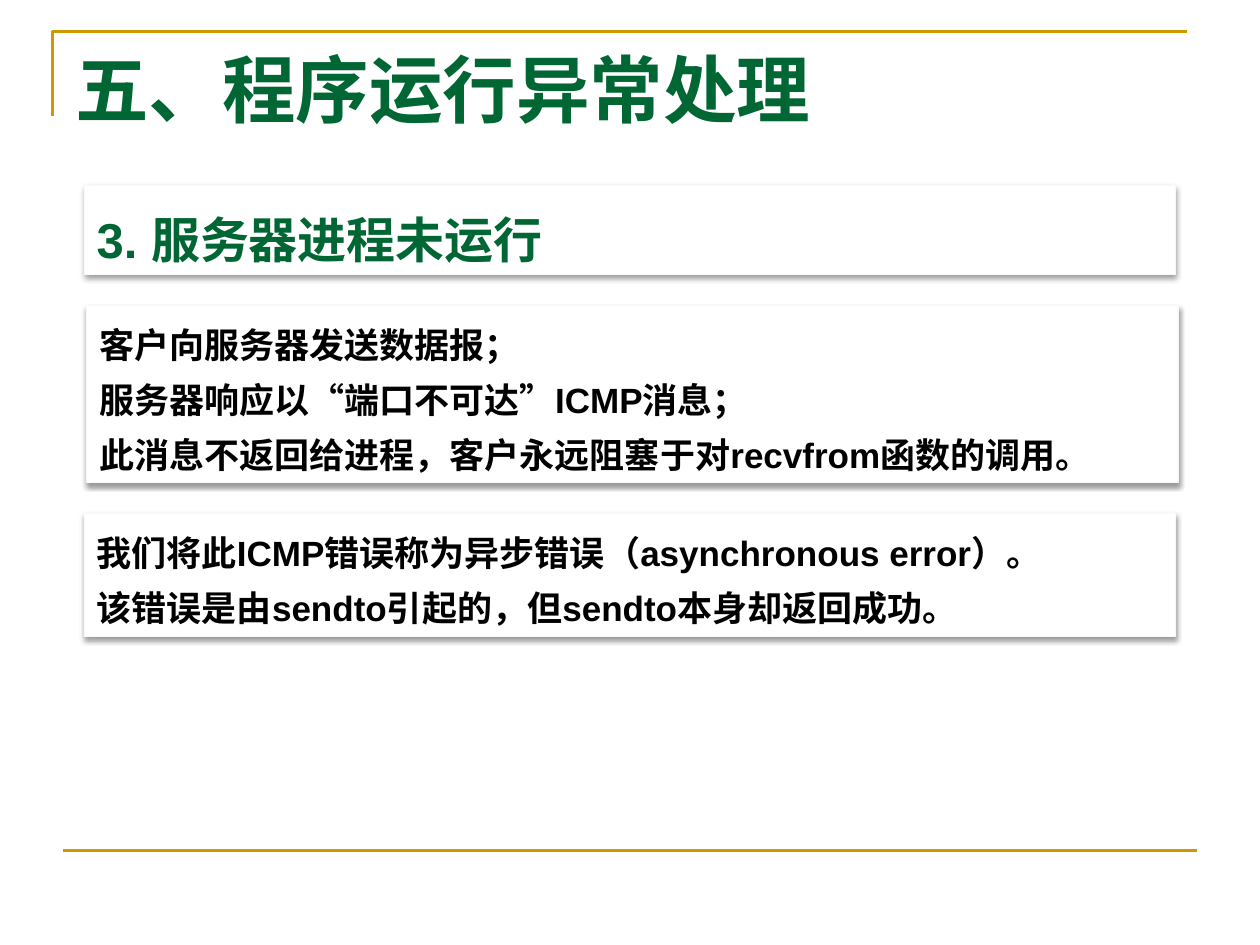
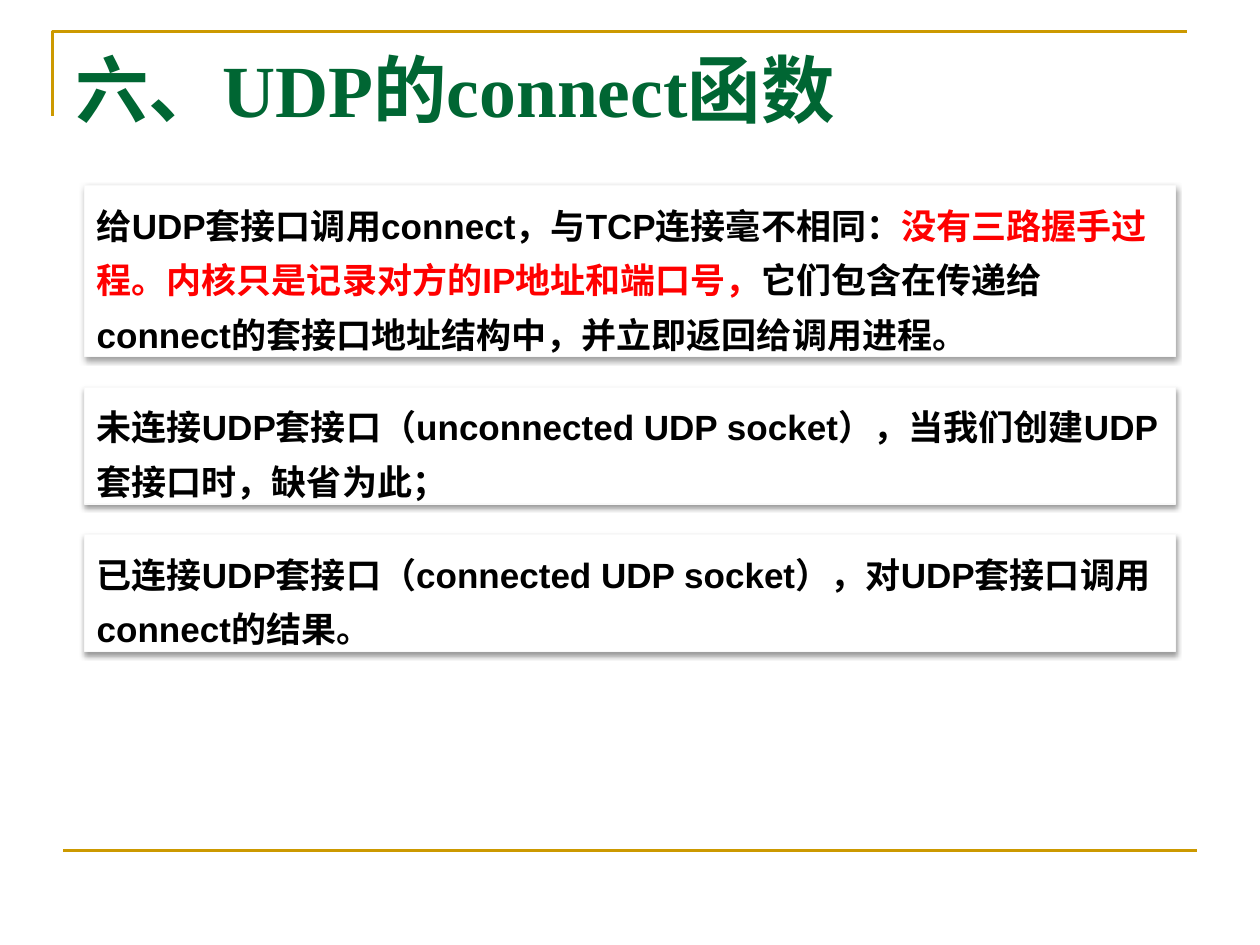
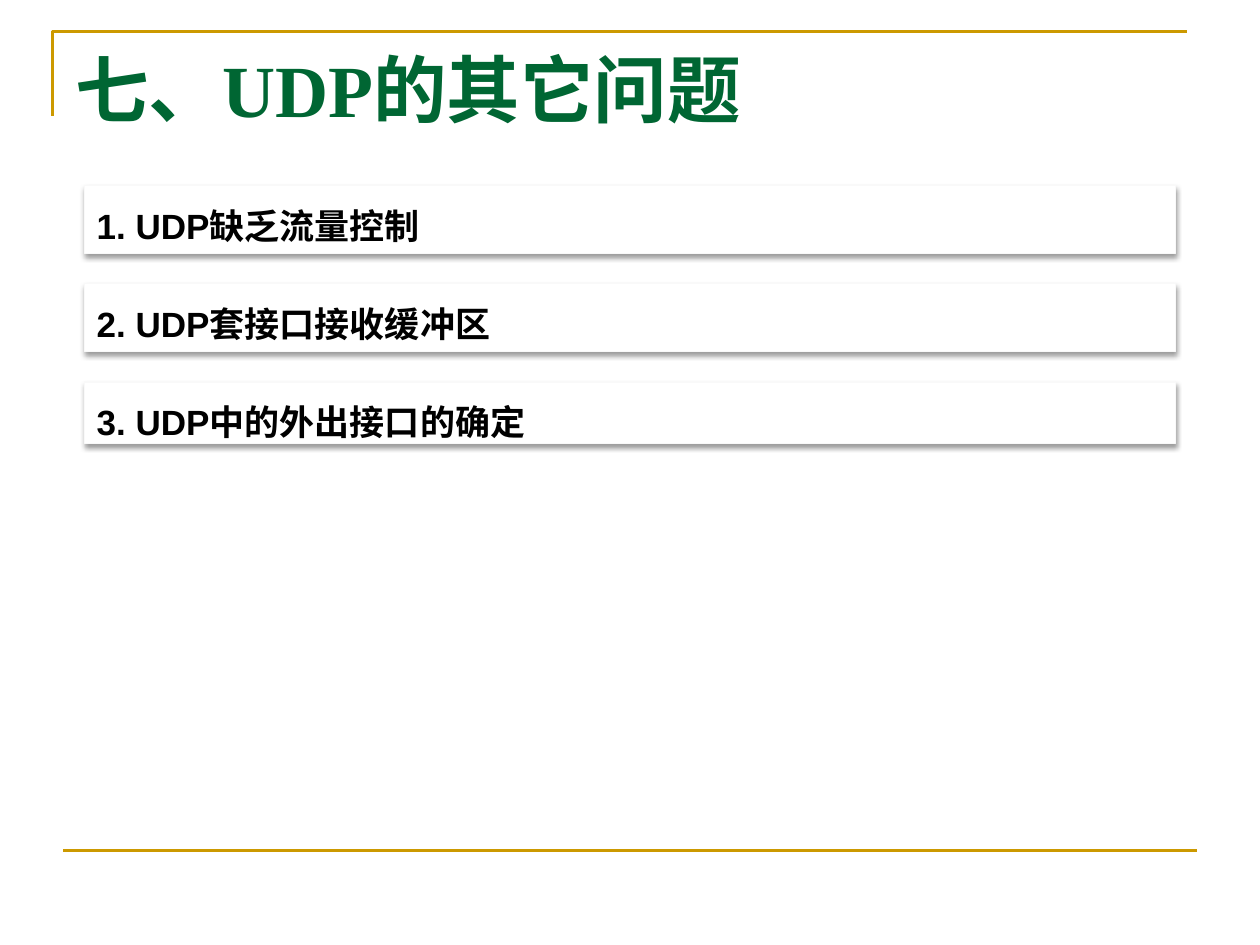
from dataclasses import dataclass

from lxml import etree
from pptx import Presentation
from pptx.dml.color import RGBColor
from pptx.enum.lang import MSO_LANGUAGE_ID
from pptx.enum.shapes import MSO_CONNECTOR, MSO_SHAPE
from pptx.enum.text import MSO_ANCHOR, PP_ALIGN
from pptx.oxml.ns import qn
from pptx.shapes.autoshape import Shape
from pptx.slide import Slide
from pptx.text.text import TextFrame
from pptx.util import Cm, Pt

RECTANGLE = MSO_SHAPE.RECTANGLE
STRAIGHT = MSO_CONNECTOR.STRAIGHT
TOP = MSO_ANCHOR.TOP
LEFT = PP_ALIGN.LEFT
CHINESE = MSO_LANGUAGE_ID.SIMPLIFIED_CHINESE

COLORS = {
    "gold": "CC9900",
    "green": "006633",
    "black": "000000",
    "red": "FF0000",
    "white": "FFFFFF",
    "edge": "F9F9F9",
}
BODY_FONT = "Arial"
TITLE_FONT = "Times New Roman"
CARD_LEFT = 1.7
CARD_TOP = 3.74
CARD_WIDTH = 22
CARD_GAP = 0.61


@dataclass(frozen=True)
class Span:
    text: str
    color: str = "black"


@dataclass(frozen=True)
class Card:
    paragraphs: tuple[tuple[Span, ...], ...]
    height: float
    size: float = 20
    left: float = CARD_LEFT


@dataclass(frozen=True)
class Topic:
    title: str
    cards: tuple[Card, ...]


TOPICS = (
    Topic("五、程序运行异常处理", (
        Card(((Span("3. 服务器进程未运行", "green"),),), 1.8, size=28),
        Card((
            (Span("客户向服务器发送数据报；"),),
            (Span("服务器响应以“端口不可达”ICMP消息；"),),
            (Span("此消息不返回给进程，客户永远阻塞于对recvfrom函数的调用。"),),
        ), 3.58, left=1.75),
        Card((
            (Span("我们将此ICMP错误称为异步错误（asynchronous error）。"),),
            (Span("该错误是由sendto引起的，但sendto本身却返回成功。"),),
        ), 2.49),
    )),
    Topic("六、UDP的connect函数", (
        Card(((
            Span("给UDP套接口调用connect，与TCP连接毫不相同："),
            Span("没有三路握手过程。内核只是记录对方的IP地址和端口号，", "red"),
            Span("它们包含在传递给connect的套接口地址结构中，并立即返回给调用进程。"),
        ),), 3.45),
        Card(((Span("未连接UDP套接口（unconnected UDP socket），当我们创建UDP套接口时，缺省为此；"),),), 2.36),
        Card(((Span("已连接UDP套接口（connected UDP socket），对UDP套接口调用connect的结果。"),),), 2.36),
    )),
    Topic("七、UDP的其它问题", (
        Card(((Span("1. UDP缺乏流量控制"),),), 1.37),
        Card(((Span("2. UDP套接口接收缓冲区"),),), 1.37),
        Card(((Span("3. UDP中的外出接口的确定"),),), 1.24),
    )),
)


def rgb(name: str) -> RGBColor:
    return RGBColor.from_string(COLORS[name])


def write(frame: TextFrame, paragraphs: tuple[tuple[Span, ...], ...], *,
          size: float, font: str = BODY_FONT, spacing: float = 1.0) -> None:
    frame.word_wrap = True
    frame.vertical_anchor = TOP
    frame.margin_bottom = 0
    for index, spans in enumerate(paragraphs):
        paragraph = frame.add_paragraph() if index else frame.paragraphs[0]
        paragraph.alignment = LEFT
        paragraph.line_spacing = spacing
        for span in spans:
            run = paragraph.add_run()
            run.text = span.text
            run.font.name = font
            run.font.size = Pt(size)
            run.font.bold = True
            run.font.color.rgb = rgb(span.color)
            run.font.language_id = CHINESE


def cast_shadow(shape: Shape) -> None:
    shape.shadow.inherit = False
    effects = shape._element.spPr.find(qn("a:effectLst"))
    shadow = etree.SubElement(effects, qn("a:outerShdw"), blurRad=str(Pt(3.1)),
                              dist=str(Pt(1.6)), dir="5400000", rotWithShape="0")
    color = etree.SubElement(shadow, qn("a:srgbClr"), val=COLORS["black"])
    etree.SubElement(color, qn("a:alpha"), val="38000")


def draw_frame(slide: Slide) -> None:
    builder = slide.shapes.build_freeform(Cm(1.06), Cm(2.33))
    builder.add_line_segments([(Cm(1.06), Cm(0.64)), (Cm(23.92), Cm(0.64))], close=False)
    corner = builder.convert_to_shape()
    corner.fill.background()
    corner.shadow.inherit = False
    footer = slide.shapes.add_connector(STRAIGHT, Cm(1.27), Cm(17.15), Cm(24.13), Cm(17.15))
    etree.SubElement(footer._element.spPr, qn("a:effectLst"))
    for rule in (corner, footer):
        rule.line.color.rgb = rgb("gold")
        rule.line.width = Pt(1.5)


def draw_title(slide: Slide, title: str) -> None:
    heading = slide.shapes.add_textbox(Cm(1.27), Cm(0.76), Cm(21.03), Cm(3.18))
    write(heading.text_frame, ((Span(title, "green"),),), size=42, font=TITLE_FONT)


def draw_card(slide: Slide, card: Card, top: float) -> None:
    panel = slide.shapes.add_shape(RECTANGLE, Cm(card.left), Cm(top),
                                   Cm(CARD_WIDTH), Cm(card.height))
    panel.fill.solid()
    panel.fill.fore_color.rgb = rgb("white")
    panel.line.color.rgb = rgb("edge")
    panel.line.width = Pt(0.75)
    cast_shadow(panel)
    write(panel.text_frame, card.paragraphs, size=card.size, spacing=1.3)


def draw_topic(slide: Slide, topic: Topic) -> None:
    draw_frame(slide)
    draw_title(slide, topic.title)
    top = CARD_TOP
    for card in topic.cards:
        draw_card(slide, card, top)
        top += card.height + CARD_GAP


def main() -> None:
    deck = Presentation()
    deck.slide_width = Cm(25.4)
    deck.slide_height = Cm(19.05)
    blank = deck.slide_layouts[6]
    for topic in TOPICS:
        draw_topic(deck.slides.add_slide(blank), topic)
    deck.save("out.pptx")


if __name__ == "__main__":
    main()
